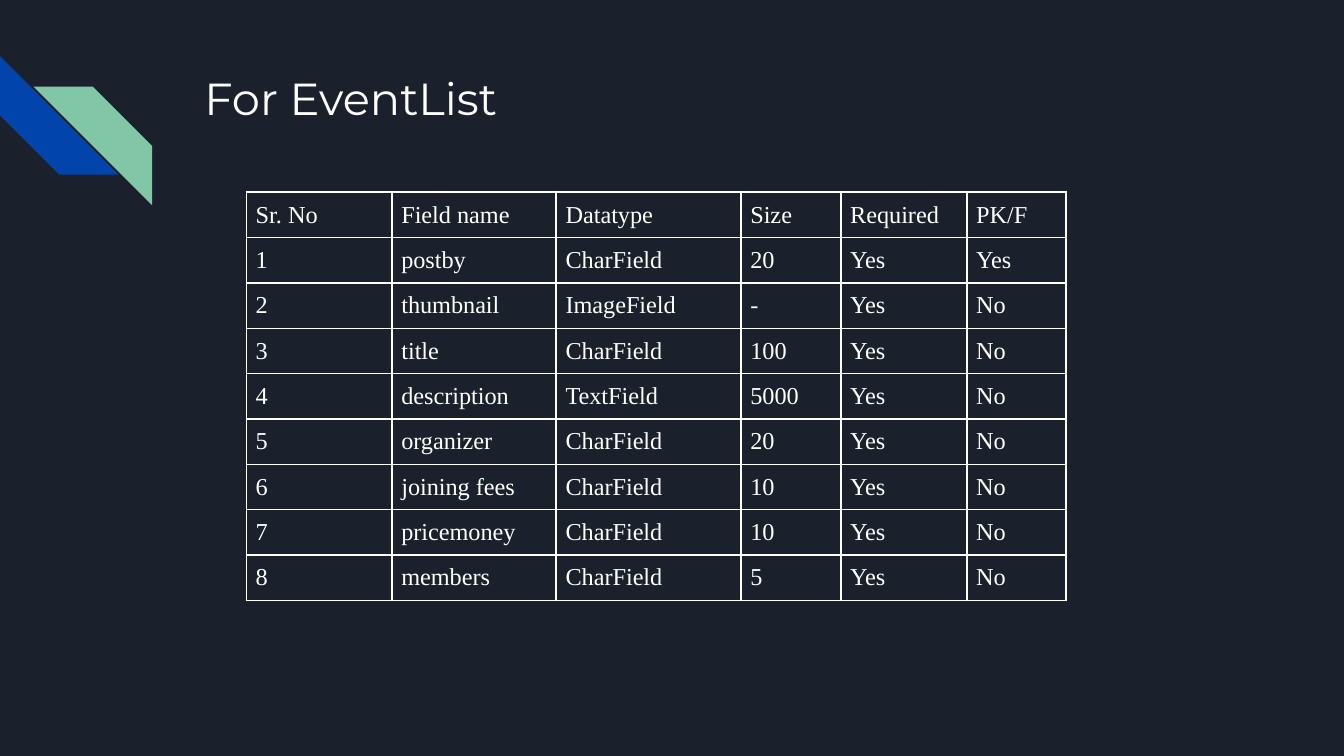
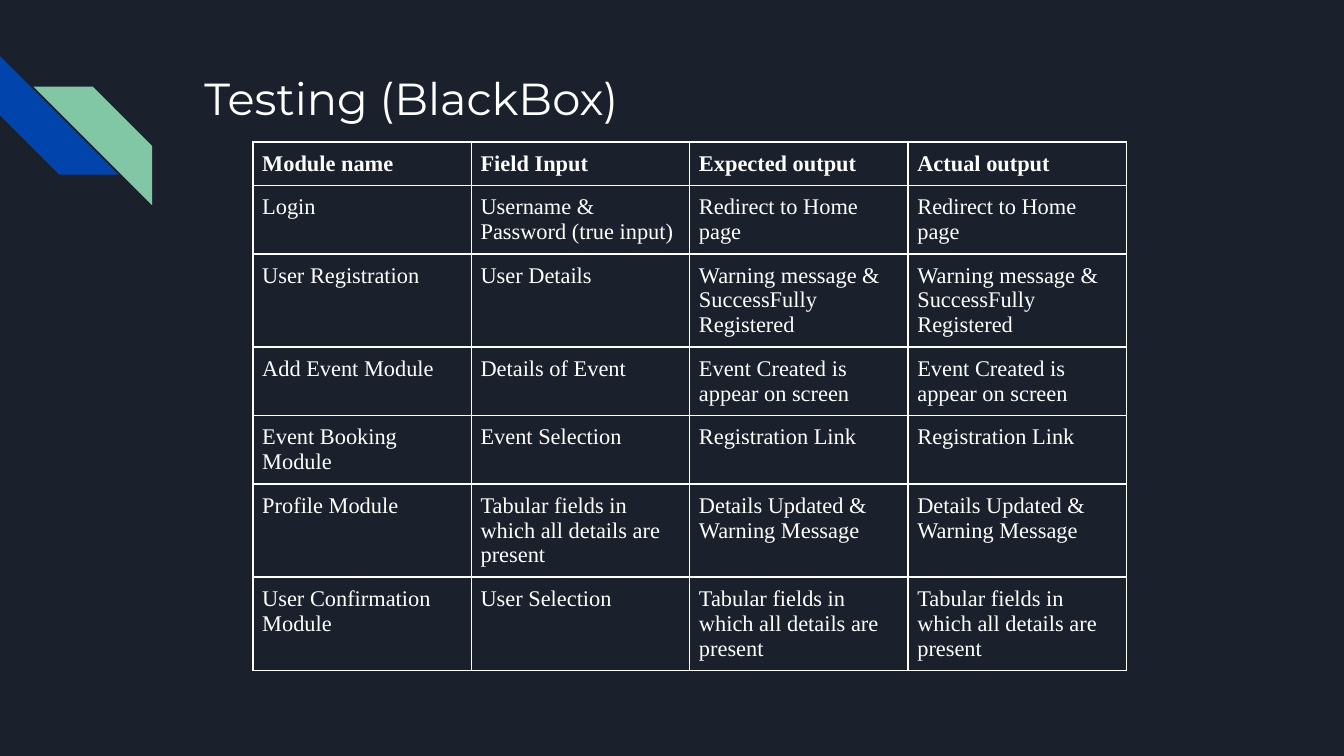
from dataclasses import dataclass

from lxml.etree import SubElement
from pptx import Presentation
from pptx.dml.color import RGBColor
from pptx.enum.shapes import MSO_SHAPE
from pptx.enum.text import MSO_ANCHOR, MSO_AUTO_SIZE, PP_ALIGN
from pptx.oxml.ns import qn
from pptx.slide import Slide
from pptx.table import _Cell
from pptx.text.text import _Paragraph
from pptx.util import Emu, Pt

EMU_PER_PX = 6350  # 144 px to the inch


@dataclass(frozen=True)
class Theme:
    background: str = "1B212C"
    text: str = "FFFFFF"
    blue: str = "0145AC"
    green: str = "82C7A5"
    title_font: str = "Montserrat"
    table_font: str = "Times New Roman"
    title_size: int = 24
    border_width: int = 1


@dataclass(frozen=True)
class Stripe:
    left: int
    top: int
    rotation: int
    color: str


@dataclass(frozen=True)
class TableSlide:
    title: str
    left: int
    top: int
    column_widths: tuple[int, ...]
    row_heights: tuple[int, ...]
    font_size: int
    bold_header: bool
    rows: tuple[tuple[str, ...], ...]


THEME = Theme()
SLIDE_WIDTH, SLIDE_HEIGHT = 1440, 810
TITLE_BOX = (205, 62, 1109, 144)
TITLE_INSET = 14
CELL_INSET = 10
STRIPE_SIZE = 127
STRIPES = (
    Stripe(0, 60, 270, THEME.blue),
    Stripe(36, 93, 90, THEME.green),
)

EVENT_FIELDS = (
    ("postby", "CharField", "20", "Yes", "Yes"),
    ("thumbnail", "ImageField", "-", "Yes", "No"),
    ("title", "CharField", "100", "Yes", "No"),
    ("description", "TextField", "5000", "Yes", "No"),
    ("organizer", "CharField", "20", "Yes", "No"),
    ("joining fees", "CharField", "10", "Yes", "No"),
    ("pricemoney", "CharField", "10", "Yes", "No"),
    ("members", "CharField", "5", "Yes", "No"),
)

# Module, input, and the output that was both expected and seen
TEST_CASES = (
    ("Login", "Username & Password (true input)", "Redirect to Home page"),
    ("User Registration", "User Details", "Warning message & SuccessFully Registered"),
    ("Add Event Module", "Details of Event", "Event Created is appear on screen"),
    ("Event Booking Module", "Event Selection", "Registration Link"),
    ("Profile Module", "Tabular fields in which all details are present",
     "Details Updated &\nWarning Message"),
    ("User Confirmation Module", "User Selection",
     "Tabular fields in which all details are present"),
)

TABLE_SLIDES = (
    TableSlide(
        title="For EventList",
        left=264,
        top=206,
        column_widths=(156, 176, 198, 107, 135, 106),
        row_heights=(48,) * (len(EVENT_FIELDS) + 1),
        font_size=13,
        bold_header=False,
        rows=(
            ("Sr. No", "Field name", "Datatype", "Size", "Required", "PK/F"),
            *((str(number), *field) for number, field in enumerate(EVENT_FIELDS, 1)),
        ),
    ),
    TableSlide(
        title="Testing (BlackBox)",
        left=271,
        top=152,
        column_widths=(234,) * 4,
        row_heights=(46, 72, 99, 72, 72, 99, 99),
        font_size=12,
        bold_header=True,
        rows=(
            ("Module name", "Field Input", "Expected output", "Actual output"),
            *((*case, case[-1]) for case in TEST_CASES),
        ),
    ),
)


def px(length: int) -> Emu:
    return Emu(length * EMU_PER_PX)


def format_paragraph(paragraph: _Paragraph, font_name: str, size: int, bold: bool = False) -> None:
    paragraph.alignment = PP_ALIGN.LEFT
    font = paragraph.font
    font.name = font_name
    font.size = Pt(size)
    font.bold = bold
    font.color.rgb = RGBColor.from_string(THEME.text)


def add_stripe(slide: Slide, stripe: Stripe) -> None:
    shape = slide.shapes.add_shape(
        MSO_SHAPE.DIAGONAL_STRIPE,
        px(stripe.left), px(stripe.top), px(STRIPE_SIZE), px(STRIPE_SIZE),
    )
    shape.rotation = stripe.rotation
    shape.shadow.inherit = False
    shape.fill.solid()
    shape.fill.fore_color.rgb = RGBColor.from_string(stripe.color)
    shape.line.fill.background()


def set_title(slide: Slide, text: str) -> None:
    title = slide.shapes.title
    title.left, title.top, title.width, title.height = map(px, TITLE_BOX)
    frame = title.text_frame
    frame.text = text
    frame.word_wrap = True
    frame.auto_size = MSO_AUTO_SIZE.NONE
    frame.vertical_anchor = MSO_ANCHOR.TOP
    frame.margin_left = frame.margin_right = px(TITLE_INSET)
    frame.margin_top = frame.margin_bottom = px(TITLE_INSET)
    format_paragraph(frame.paragraphs[0], THEME.title_font, THEME.title_size)


def add_borders(cell: _Cell) -> None:
    properties = cell._tc.get_or_add_tcPr()
    for side in ("a:lnL", "a:lnR", "a:lnT", "a:lnB"):
        line = SubElement(properties, qn(side), w=str(Pt(THEME.border_width)))
        fill = SubElement(line, qn("a:solidFill"))
        SubElement(fill, qn("a:srgbClr"), val=THEME.text)


def fill_cell(cell: _Cell, text: str, size: int, bold: bool) -> None:
    cell.text = text
    cell.margin_left = cell.margin_right = px(CELL_INSET)
    cell.margin_top = cell.margin_bottom = px(CELL_INSET)
    cell.vertical_anchor = MSO_ANCHOR.TOP
    add_borders(cell)
    cell.fill.background()
    for paragraph in cell.text_frame.paragraphs:
        format_paragraph(paragraph, THEME.table_font, size, bold)


def add_table(slide: Slide, content: TableSlide) -> None:
    table = slide.shapes.add_table(
        len(content.rows), len(content.column_widths),
        px(content.left), px(content.top),
        px(sum(content.column_widths)), px(sum(content.row_heights)),
    ).table
    table.horz_banding = False
    for column, width in zip(table.columns, content.column_widths):
        column.width = px(width)
    for row_index, (row, height) in enumerate(zip(table.rows, content.row_heights)):
        row.height = px(height)
        bold = content.bold_header and row_index == 0
        for cell, text in zip(row.cells, content.rows[row_index]):
            fill_cell(cell, text, content.font_size, bold)


def main() -> None:
    presentation = Presentation()
    presentation.slide_width = px(SLIDE_WIDTH)
    presentation.slide_height = px(SLIDE_HEIGHT)
    background = presentation.slide_master.background.fill
    background.solid()
    background.fore_color.rgb = RGBColor.from_string(THEME.background)
    title_only = presentation.slide_layouts.get_by_name("Title Only")
    for content in TABLE_SLIDES:
        slide = presentation.slides.add_slide(title_only)
        for stripe in STRIPES:
            add_stripe(slide, stripe)
        set_title(slide, content.title)
        add_table(slide, content)
    presentation.save("out.pptx")


if __name__ == "__main__":
    main()
